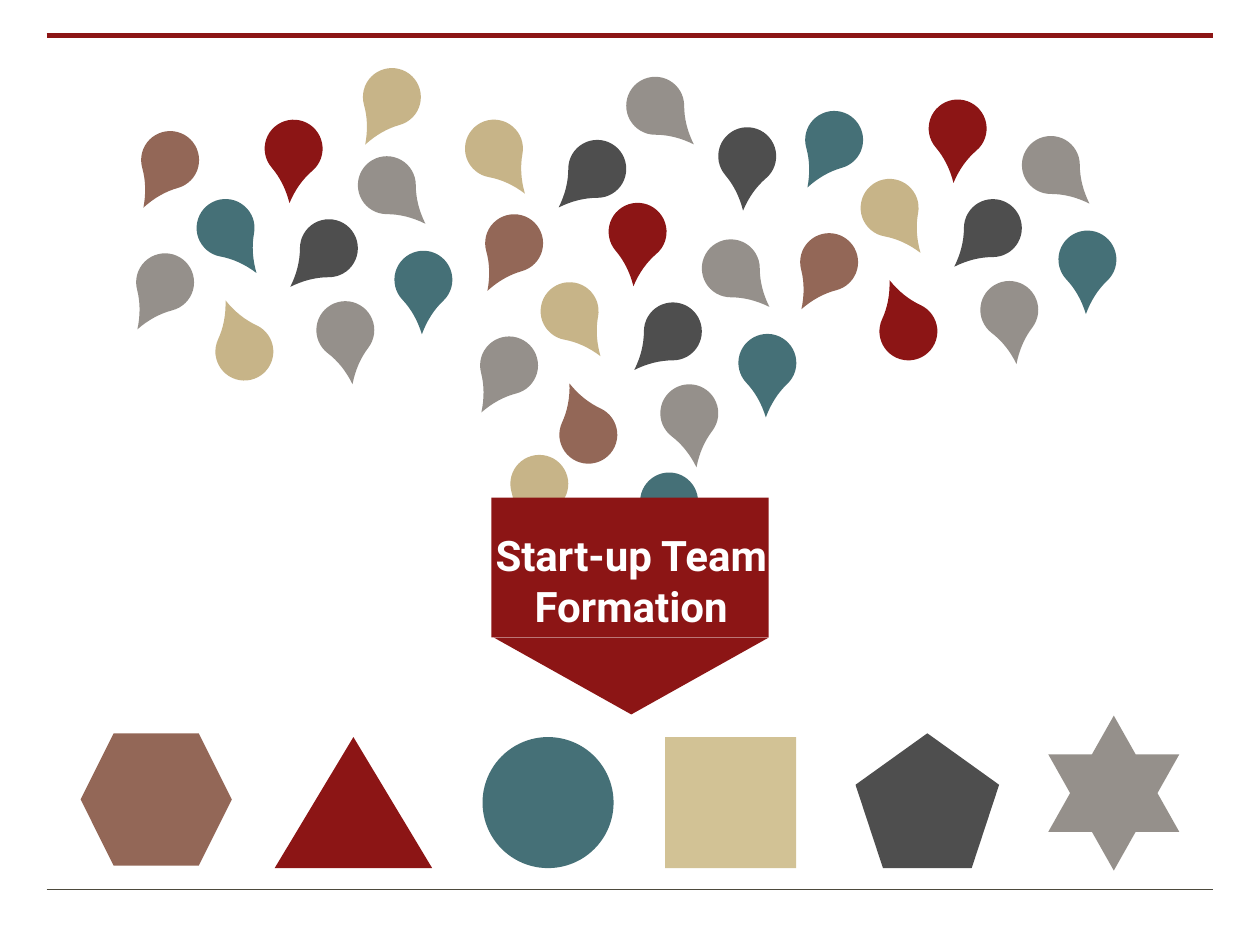
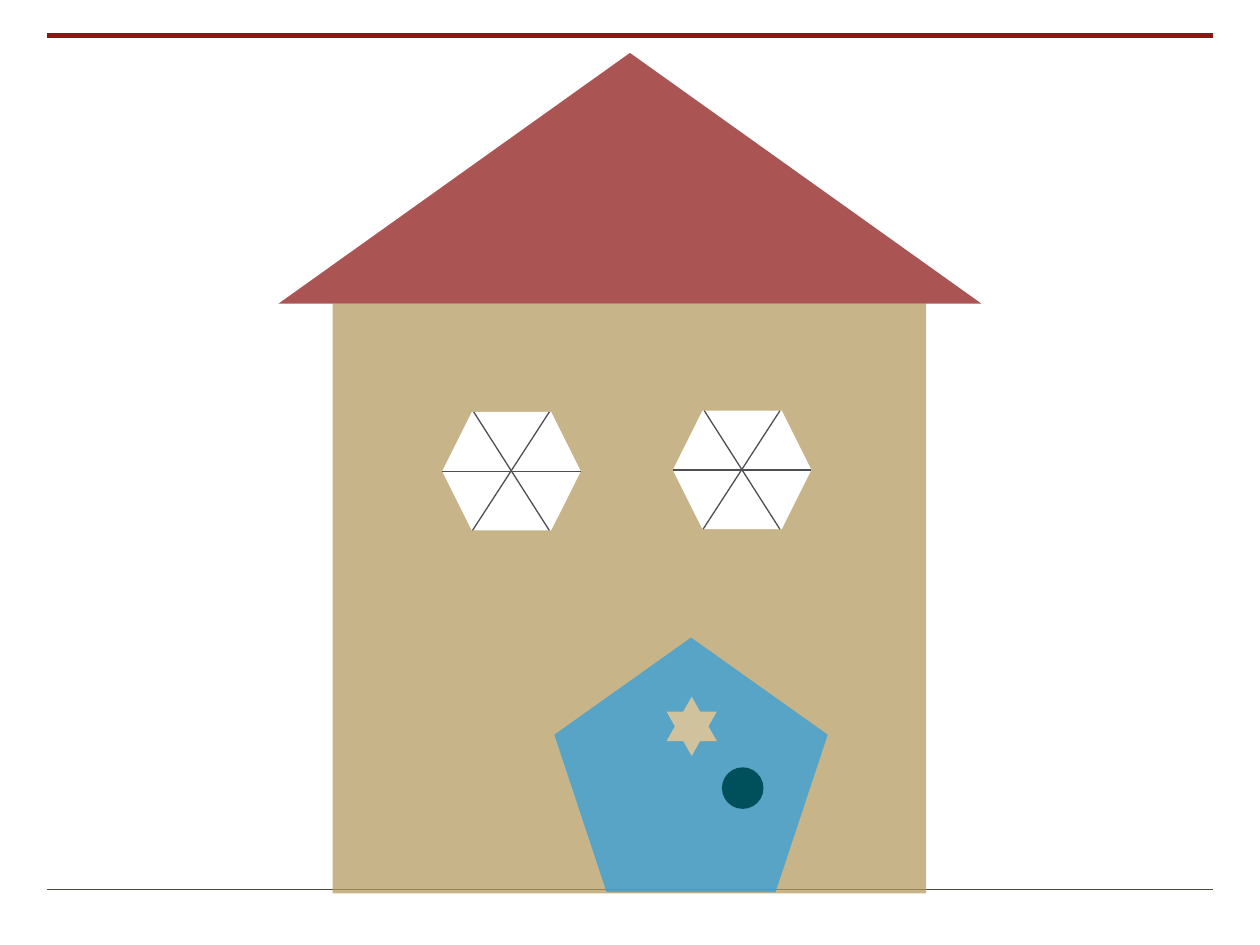
"""Builds two slides: a start-up team funnel and a house made of its shapes."""
from lxml.etree import SubElement
from pptx import Presentation
from pptx.dml.color import RGBColor
from pptx.enum.shapes import MSO_CONNECTOR as CONN, MSO_SHAPE as SHAPE
from pptx.enum.text import MSO_ANCHOR as ANCHOR, MSO_AUTO_SIZE as FIT, PP_ALIGN as ALIGN
from pptx.oxml.ns import qn
from pptx.util import Pt

PX = 9144
FONT = "Roboto"
TITLE_ONLY, BLANK = 5, 6
COLORS = {
    "red": "8C1515", "roof": "8C1515", "dark": "0D0D0D", "brown": "6A2D17",
    "khaki": "B3995D", "teal": "003C45", "grey": "6F6860", "sand": "D2C295",
    "door": "2E9FDF", "knob": "00505C", "star": "D1C29E", "white": "FFFFFF",
    "rule": "4D4A3D", "bar": "4D4F53",
}
ALPHA = {"roof": 73, "dark": 73, "brown": 72, "khaki": 73, "teal": 73, "grey": 73, "door": 73}

DROP = 46
CLUSTER = [
    (0, 0, 139.4), (28, 79, 180), (-98, 9, 164.3), (-54, 63, 100.5), (-39, 161, 294.8),
    (103, 104, 136.6), (-102, 106, 165.5), (74, 29, 90), (41, 144, 127.4),
]
CLUSTERS = [
    (483, 161, "red dark brown khaki brown teal grey grey grey"),
    (737, 79, "red dark teal khaki red teal brown grey grey"),
    (210, 95, "red dark brown teal khaki teal grey grey grey"),
]
LOOSE_DROPS = [
    (570, 101, 139.4, "dark"), (451, 111, 180, "dark"), (288, 54, 164.3, "khaki"),
    (369, 95, 100.5, "khaki"), (497, 61, 90, "grey"),
]
FALLING_DROPS = [(405, 361, 164.3, "khaki"), (508, 375, 136.6, "teal")]
TEAM = [
    (SHAPE.HEXAGON, 64, 582, 120, 105, "brown"),
    (SHAPE.ISOSCELES_TRIANGLE, 218, 585, 125, 104, "red"),
    (SHAPE.OVAL, 383, 585, 104, 104, "teal"),
    (SHAPE.RECTANGLE, 528, 585, 104, 104, "sand"),
    (SHAPE.REGULAR_PENTAGON, 679, 582, 114, 107, "dark"),
    (SHAPE.STAR_6_POINT, 832, 568, 104, 123, "grey"),
]
WINDOWS = [(351, 327), (534, 326)]
WINDOW_BARS = [(25, 0, 85, 94), (24, 94, 85, 0), (0, 47, 110, 47)]


class Deck:
    """Holds the presentation, its style and the current slide."""

    def __init__(self):
        self.prs = Presentation()
        self.prs.slide_width, self.prs.slide_height = 1000 * PX, 750 * PX

    def slide(self, layout):
        self.s = self.prs.slides.add_slide(self.prs.slide_layouts[layout])
        self.line(37, 28, 963, 28, "red", 3)
        self.line(37, 706, 963, 706, "rule", 0.25)

    def line(self, x1, y1, x2, y2, color, width):
        cx = self.s.shapes.add_connector(CONN.STRAIGHT, x1 * PX, y1 * PX, x2 * PX, y2 * PX)
        cx.line.color.rgb = RGBColor.from_string(COLORS[color])
        cx.line.width = Pt(width)
        SubElement(cx.element.find(qn("p:spPr")), qn("a:effectLst"))

    def shape(self, kind, x, y, w, h, color, turn=0):
        sp = self.s.shapes.add_shape(kind, x * PX, y * PX, w * PX, h * PX)
        sp.shadow.inherit = False
        sp.rotation = turn
        sp.line.fill.background()
        sp.fill.solid()
        sp.fill.fore_color.rgb = RGBColor.from_string(COLORS[color])
        if color in ALPHA:
            clr = next(sp.element.iter(qn("a:srgbClr")))
            SubElement(clr, qn("a:alpha")).set("val", str(ALPHA[color] * 1000))
        return sp

    def drop(self, x, y, turn, color):
        sp = self.shape(SHAPE.TEAR, x, y, DROP, DROP, color, turn)
        sp.adjustments[0] = 1.332

    def title(self, text, x, y, w, h):
        sp = self.s.shapes.title
        sp.left, sp.top, sp.width, sp.height = x * PX, y * PX, w * PX, h * PX
        self.s.shapes.element.append(sp.element)
        tf = sp.text_frame
        tf.word_wrap, tf.auto_size, tf.vertical_anchor = True, FIT.NONE, ANCHOR.MIDDLE
        tf.margin_left = tf.margin_right = tf.margin_top = tf.margin_bottom = 0
        p = tf.paragraphs[0]
        p.alignment = ALIGN.CENTER
        r = p.add_run()
        r.text = text
        r.font.name, r.font.size, r.font.bold = FONT, Pt(24), True
        r.font.color.rgb = RGBColor.from_string(COLORS["white"])


def team_slide(deck):
    deck.slide(TITLE_ONLY)
    for drop in FALLING_DROPS:
        deck.drop(*drop)
    deck.shape(SHAPE.RECTANGLE, 390, 395, 220, 111, "red")
    deck.shape(SHAPE.ISOSCELES_TRIANGLE, 392, 506, 218, 61, "red", 180)
    deck.title("Start-up Team Formation", 392, 395, 218, 131)
    for x, y, colors in CLUSTERS:
        for (dx, dy, turn), color in zip(CLUSTER, colors.split()):
            deck.drop(x + dx, y + dy, turn, color)
    for drop in LOOSE_DROPS:
        deck.drop(*drop)
    for member in TEAM:
        deck.shape(*member)


def house_slide(deck):
    deck.slide(BLANK)
    deck.shape(SHAPE.RECTANGLE, 264, 241, 471, 468, "khaki")
    deck.shape(SHAPE.ISOSCELES_TRIANGLE, 221, 42, 558, 199, "roof")
    for x, y in WINDOWS:
        deck.shape(SHAPE.HEXAGON, x, y, 110, 94, "white")
        for x1, y1, x2, y2 in WINDOW_BARS:
            deck.line(x + x1, y + y1, x + x2, y + y2, "bar", 0.75)
    deck.shape(SHAPE.REGULAR_PENTAGON, 440, 506, 217, 202, "door")
    deck.shape(SHAPE.OVAL, 573, 609, 33, 33, "knob")
    deck.shape(SHAPE.STAR_6_POINT, 529, 553, 40, 47, "star")


def main():
    deck = Deck()
    team_slide(deck)
    house_slide(deck)
    deck.prs.save("out.pptx")


if __name__ == "__main__":
    main()
